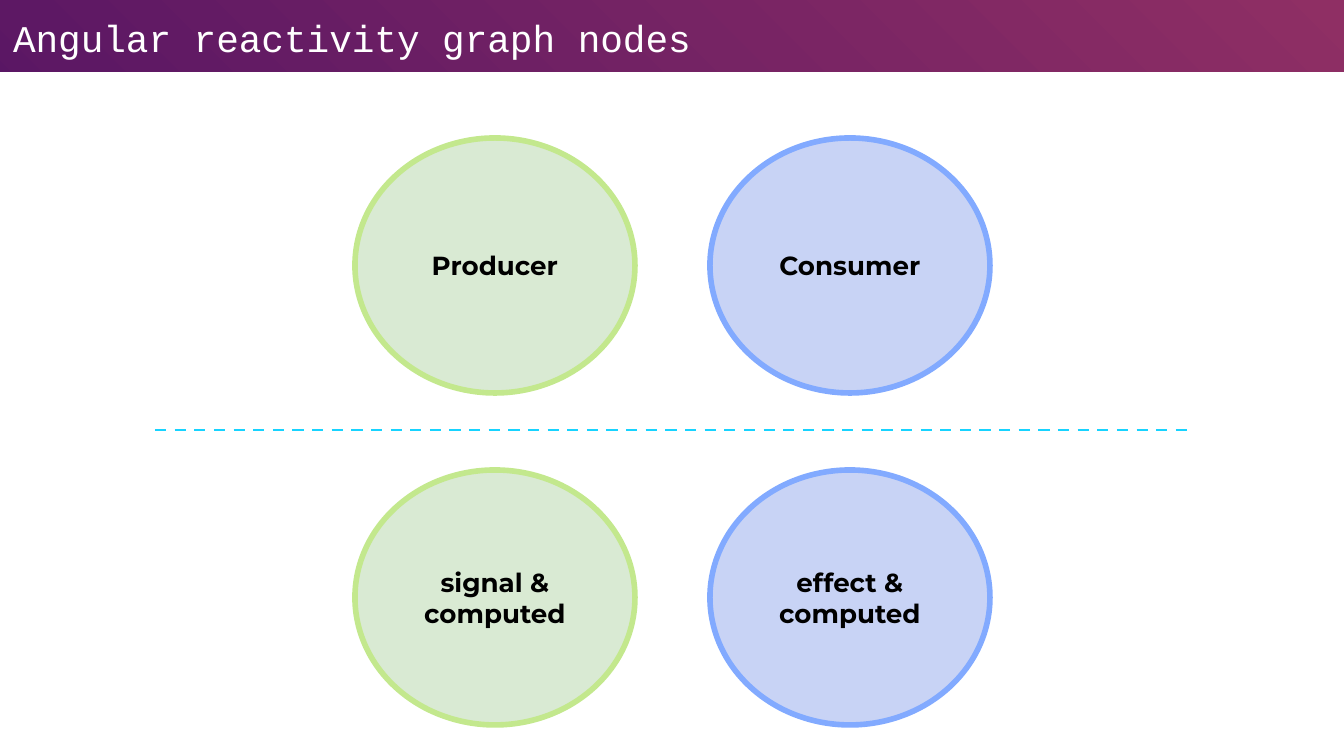
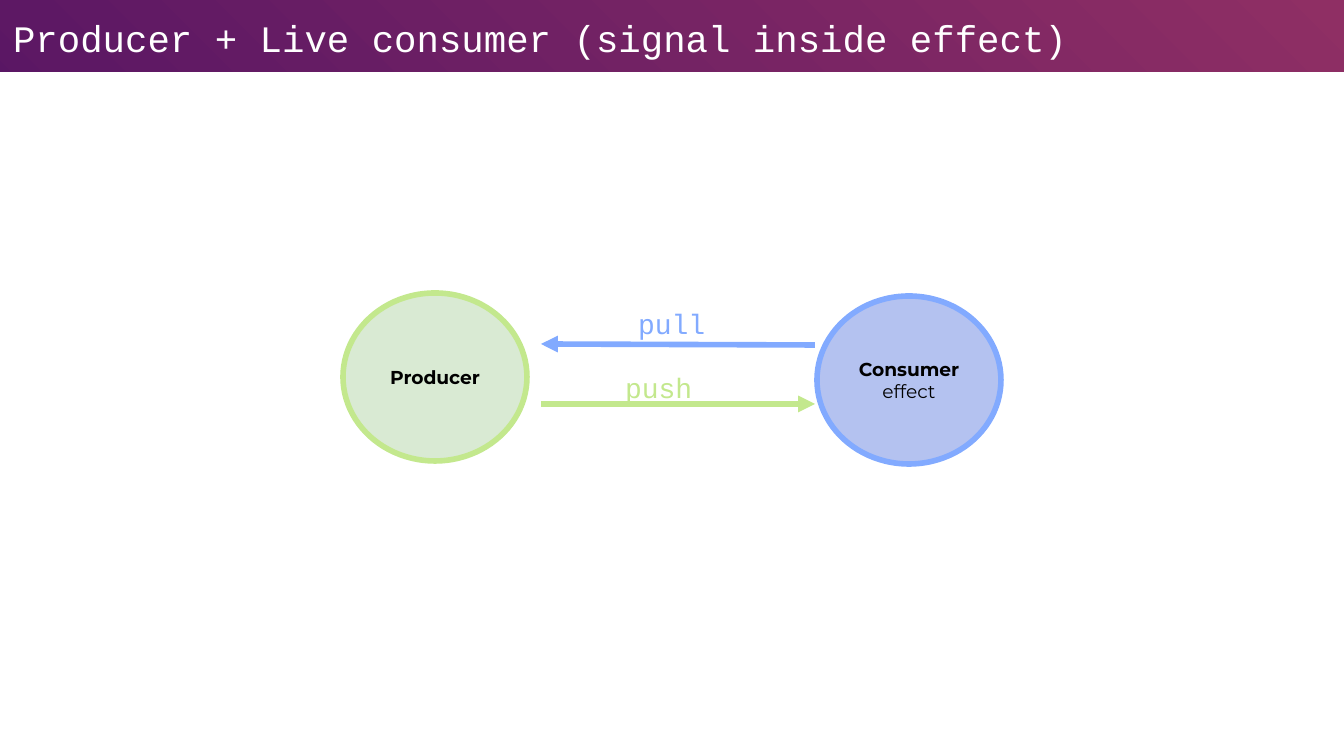
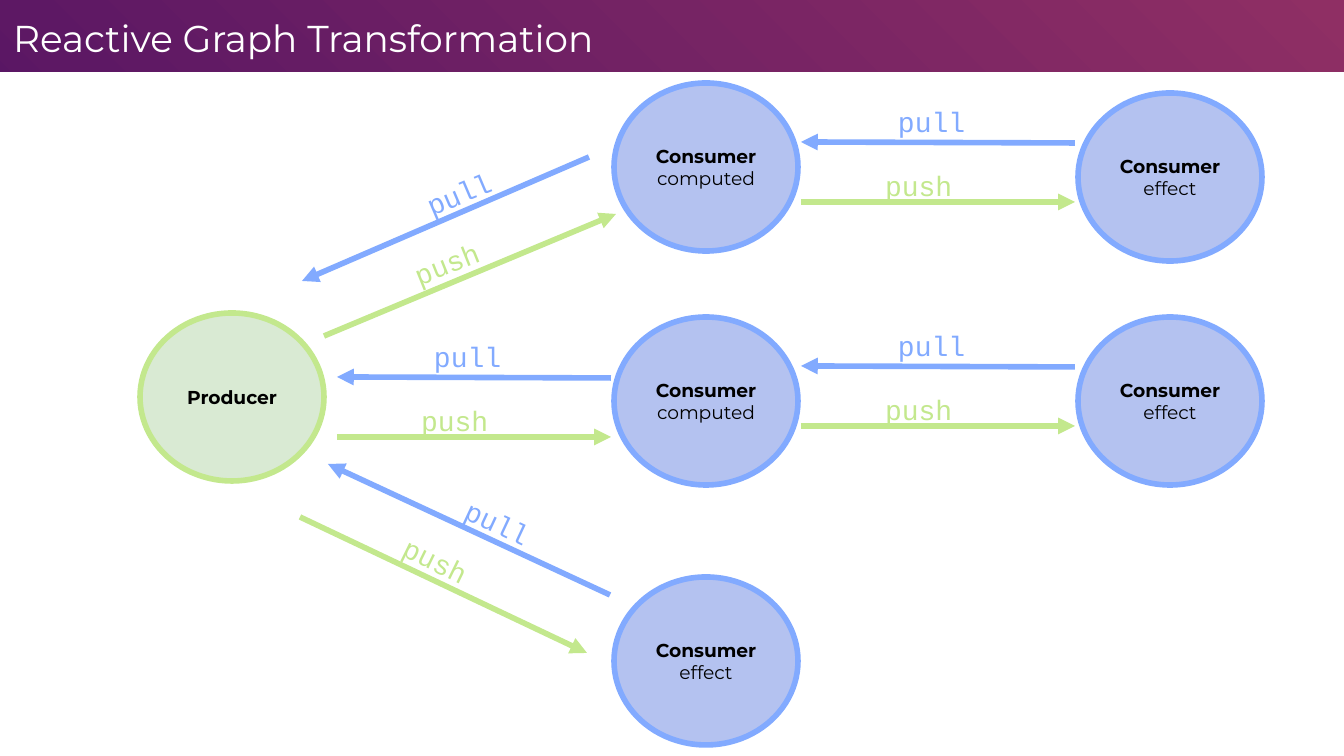
"""Build three slides on the producers and consumers of a reactive graph."""
from dataclasses import dataclass

from lxml import etree
from pptx import Presentation
from pptx import util as u
from pptx.dml.color import RGBColor
from pptx.enum import dml, shapes, text
from pptx.oxml import ns

EMU_PER_PX = 914400 / 134.4
SLIDE_SIZE = (1344, 756)
BAND_HEIGHT = 72
INSET = 13
BIG_NODE = (280, 255)
SMALL_NODE = (184, 168)
LABEL_SIZE = (108, 60)
FLOW_LENGTH = 274


@dataclass(frozen=True)
class Theme:
    """Colours, fonts and type sizes shared by the slides."""

    white: str = "FFFFFF"
    ink: str = "000000"
    green: str = "C3E88D"
    green_fill: str = "D9EAD3"
    blue: str = "82AAFF"
    blue_fill: str = "B4C2F0"
    pale_blue_fill: str = "C8D3F5"
    divider: str = "17D3FF"
    backdrop: tuple = ((0, "F35C65"), (0, "8F2F64"), (64, "5D1864"), (100, "2B0163"))
    sans: str = "Montserrat"
    mono: str = "Courier New"
    title_size: float = 20
    label_size: float = 15
    big_node_size: float = 14
    small_node_size: float = 10
    stroke: float = 3
    thin_stroke: float = 1.5


THEME = Theme()
FLOW_COLORS = {"pull": THEME.blue, "push": THEME.green}


def px(*lengths):
    """Turn pixel lengths into EMU."""
    return [u.Emu(round(length * EMU_PER_PX)) for length in lengths]


def rgb(code):
    """Turn a hex code into a colour."""
    return RGBColor.from_string(code)


def add_run(paragraph, words, font, size, color, bold=False):
    """Add one formatted run to a paragraph."""
    run = paragraph.add_run()
    run.text = words
    run.font.name = font
    run.font.size = u.Pt(size)
    run.font.bold = bold
    run.font.color.rgb = rgb(color)


def set_frame(frame, anchor, top=INSET, bottom=INSET):
    """Set the wrapping, anchor and insets of a text frame."""
    frame.word_wrap = True
    frame.auto_size = text.MSO_AUTO_SIZE.NONE
    frame.vertical_anchor = anchor
    frame.margin_left, frame.margin_top, frame.margin_right, frame.margin_bottom = px(
        INSET, top, INSET, bottom)


def paint_backdrop(layout):
    """Give the layout a round gradient centred on its top right corner."""
    layout.background.fill.solid()
    properties = layout.element.xpath(".//p:bgPr")[0]
    properties.remove(properties[0])
    gradient = etree.Element(ns.qn("a:gradFill"), rotWithShape="1")
    stops = etree.SubElement(gradient, ns.qn("a:gsLst"))
    for percent, code in THEME.backdrop:
        stop = etree.SubElement(stops, ns.qn("a:gs"), pos=str(percent * 1000))
        etree.SubElement(stop, ns.qn("a:srgbClr"), val=code)
    circle = etree.SubElement(gradient, ns.qn("a:path"))
    circle.set("path", "circle")
    etree.SubElement(circle, ns.qn("a:fillToRect"), l="100000", b="100000")
    properties.insert(0, gradient)


def dress_layout(layout, first_slide):
    """Put the gradient and the white content panel on the layout."""
    paint_backdrop(layout)
    for footer in list(layout.placeholders)[1:]:
        layout.shapes.element.remove(footer.element)
    width, height = SLIDE_SIZE
    panel = first_slide.shapes.add_shape(
        shapes.MSO_SHAPE.RECTANGLE, *px(0, BAND_HEIGHT, width, height - BAND_HEIGHT))
    panel.shadow.inherit = False
    panel.fill.solid()
    panel.fill.fore_color.rgb = rgb(THEME.white)
    panel.line.fill.background()
    layout.shapes.element.insert(2, panel.element)


def set_title(slide, words, font=THEME.mono, size=THEME.title_size):
    """Place and write the slide title in the top band."""
    title = slide.shapes.title
    title.left, title.top, title.width, title.height = px(0, 0, 1211, BAND_HEIGHT)
    set_frame(title.text_frame, text.MSO_ANCHOR.BOTTOM, bottom=12)
    heading = title.text_frame.paragraphs[0]
    heading.alignment = text.PP_ALIGN.LEFT
    add_run(heading, words, font, size, THEME.white)


def add_node(slide, at, size, fill, outline, lines, type_size):
    """Draw a graph node with centred lines, each given as words and boldness."""
    node = slide.shapes.add_shape(shapes.MSO_SHAPE.OVAL, *px(*at, *size))
    node.shadow.inherit = False
    node.fill.solid()
    node.fill.fore_color.rgb = rgb(fill)
    node.line.color.rgb = rgb(outline)
    node.line.width = u.Pt(THEME.stroke)
    frame = node.text_frame
    set_frame(frame, text.MSO_ANCHOR.MIDDLE)
    for index, (words, bold) in enumerate(lines):
        paragraph = frame.add_paragraph() if index else frame.paragraphs[0]
        paragraph.alignment = text.PP_ALIGN.CENTER
        add_run(paragraph, words, THEME.sans, type_size, THEME.ink, bold)


def add_producer(slide, at):
    """Draw a small producer node."""
    add_node(slide, at, SMALL_NODE, THEME.green_fill, THEME.green,
             [("Producer", True)], THEME.small_node_size)


def add_consumer(slide, at, role):
    """Draw a small consumer node with its role below its name."""
    add_node(slide, at, SMALL_NODE, THEME.blue_fill, THEME.blue,
             [("Consumer", True), (role, False)], THEME.small_node_size)


def add_line(slide, start, end, color, width):
    """Draw a straight line without a shadow."""
    line = slide.shapes.add_connector(shapes.MSO_CONNECTOR.STRAIGHT, *px(*start, *end))
    line.line.color.rgb = rgb(color)
    line.line.width = u.Pt(width)
    etree.SubElement(line.element.spPr, ns.qn("a:effectLst"))
    return line


def add_flow(slide, kind, start, end, label_at, angle=0):
    """Draw a pull or push arrow with its label."""
    color = FLOW_COLORS[kind]
    arrow = add_line(slide, start, end, color, THEME.stroke)
    etree.SubElement(arrow.get_or_add_ln(), ns.qn("a:tailEnd"), type="triangle")
    label = slide.shapes.add_textbox(*px(*label_at, *LABEL_SIZE))
    label.rotation = angle
    set_frame(label.text_frame, text.MSO_ANCHOR.TOP, top=17, bottom=11)
    add_run(label.text_frame.paragraphs[0], kind, THEME.mono, THEME.label_size, color)


def add_exchange(slide, left, top):
    """Draw a level pull arrow and the push arrow below it."""
    right, below = left + FLOW_LENGTH, top + 60
    add_flow(slide, "pull", (right, top + 1), (left, top), (left + 84, top - 54))
    add_flow(slide, "push", (left, below), (right, below), (left + 71, top + 10))


def build_node_kinds(slide):
    """Show the two kinds of node and the functions behind them."""
    set_title(slide, "Angular reactivity graph nodes", size=20.2)
    columns = (
        (355, THEME.green_fill, THEME.green, (["Producer"], ["signal &", "computed"])),
        (710, THEME.pale_blue_fill, THEME.blue, (["Consumer"], ["effect & computed"])),
    )
    for left, fill, outline, names in columns:
        for top, lines in zip((138, 470), names):
            add_node(slide, (left, top), BIG_NODE, fill, outline,
                     [(words, True) for words in lines], THEME.big_node_size)
    divider = add_line(slide, (155, 430), (1189, 430), THEME.divider, THEME.thin_stroke)
    divider.line.dash_style = dml.MSO_LINE.DASH


def build_live_consumer(slide):
    """Show one producer and one live consumer."""
    set_title(slide, "Producer + Live consumer (signal inside effect)")
    add_producer(slide, (343, 293))
    add_consumer(slide, (817, 296), "effect")
    add_exchange(slide, 541, 344)


def build_graph(slide):
    """Show a producer feeding three branches of consumers."""
    set_title(slide, "Reactive Graph Transformation", font=THEME.sans)
    add_producer(slide, (140, 313))
    consumers = (
        ((614, 83), "computed"), ((1078, 93), "effect"),
        ((614, 317), "computed"), ((1078, 317), "effect"),
        ((614, 577), "effect"),
    )
    for at, role in consumers:
        add_consumer(slide, at, role)
    for left, top in ((801, 142), (337, 377), (801, 366)):
        add_exchange(slide, left, top)
    slanted_flows = (
        ("pull", (589, 157), (302, 281), (410, 157), 337),
        ("push", (324, 336), (616, 214), (398, 227), 338.2),
        ("pull", (610, 595), (328, 464), (452, 492), 25),
        ("push", (300, 517), (587, 653), (390, 530), 26.2),
    )
    for flow in slanted_flows:
        add_flow(slide, *flow)


def main():
    """Build and save the deck."""
    deck = Presentation()
    deck.slide_width, deck.slide_height = px(*SLIDE_SIZE)
    layout = deck.slide_layouts.get_by_name("Title Only")
    builders = (build_node_kinds, build_live_consumer, build_graph)
    slides = [deck.slides.add_slide(layout) for _ in builders]
    dress_layout(layout, slides[0])
    for build, slide in zip(builders, slides):
        build(slide)
    deck.save("out.pptx")


if __name__ == "__main__":
    main()
